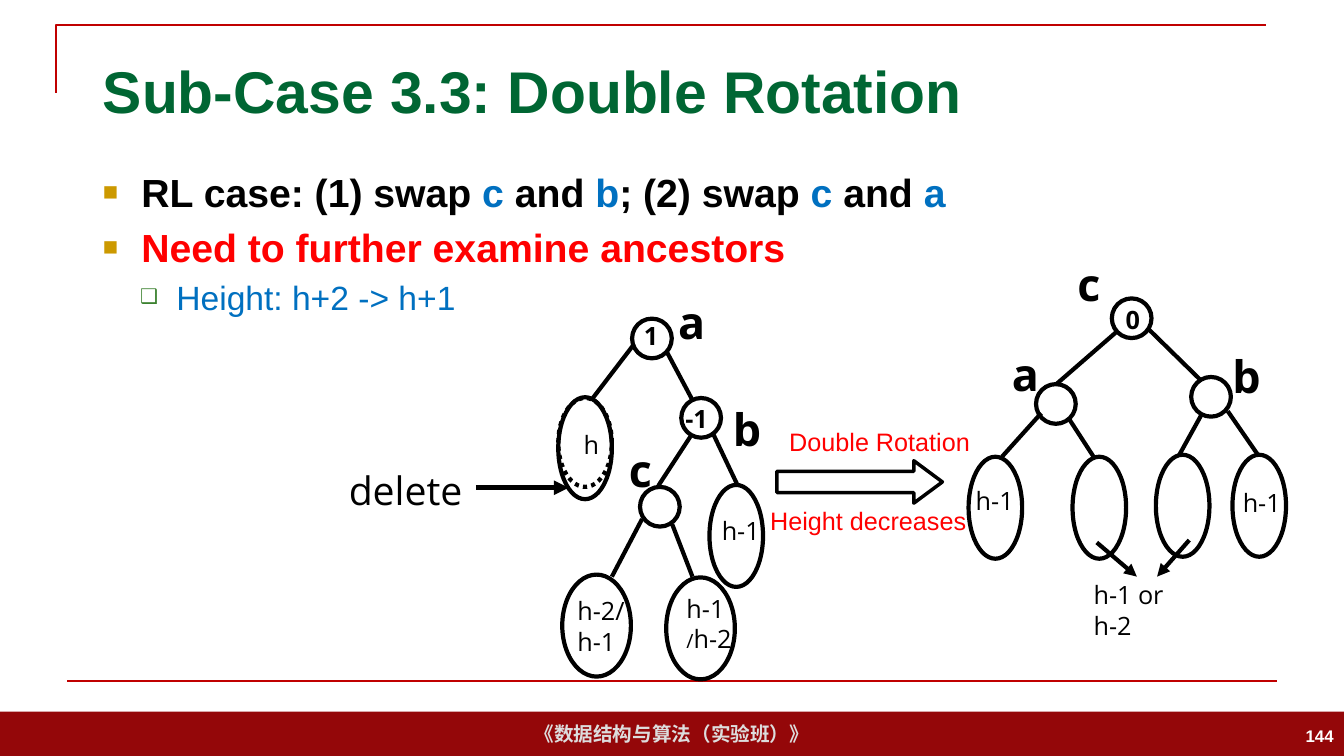
from lxml.etree import SubElement
from pptx import Presentation
from pptx.dml.color import RGBColor
from pptx.enum.dml import MSO_LINE as Dash
from pptx.enum.shapes import MSO_CONNECTOR as Conn, MSO_SHAPE as Kind
from pptx.enum.text import MSO_ANCHOR as Anchor, MSO_AUTO_SIZE as Fit, PP_ALIGN as Align
from pptx.oxml.ns import qn
from pptx.util import Cm, Pt

BLACK = RGBColor(0x00, 0x00, 0x00)
WHITE = RGBColor(0xFF, 0xFF, 0xFF)
RED = RGBColor(0xFF, 0x00, 0x00)
BLUE = RGBColor(0x00, 0x70, 0xC0)
GREEN = RGBColor(0x00, 0x66, 0x33)
RULE = RGBColor(0xC0, 0x00, 0x00)
BAND = RGBColor(0x94, 0x07, 0x09)
PALE = RGBColor(0xDD, 0xDD, 0xDD)

# Content; all lengths in cm
TITLE = "Sub-Case 3.3: Double Rotation"
FOOTER = "《数据结构与算法（实验班）》"
PAGE = "144"

# Bullets: level, runs of (text, colour)
POINTS = [
    (0, [("RL case: (1) swap ", BLACK), ("c", BLUE), (" and ", BLACK), ("b", BLUE),
         ("; (2) swap ", BLACK), ("c ", BLUE), ("and ", BLACK), ("a", BLUE)]),
    (0, [("Need to further examine ancestors", RED)]),
    (1, [("Height: h+2 -> h+1", BLUE)]),
]
# Per level: sign, its colour, its size in %, margin, hang, text size, bold
LEVELS = [
    ("■", "CC9900", 65, 0.97, 0.97, 28, True),
    ("❑", "3B812F", 60, 1.85, 0.91, 24, False),
]

# Tree nodes (left, top): before, then after the rotation
NODE = 1.0
NODES = [(15.93, 8.03), (17.17, 10.03), (16.13, 12.27),
         (28.02, 7.52), (26.11, 9.68), (30.02, 9.5)]

# Subtrees (left, top, width)
TALL, SLIM, WIDE = 2.57, 1.35, 1.73
SUBTREES = [
    (14.07, 10.01, SLIM), (17.88, 12.22, SLIM), (14.17, 14.48, WIDE), (16.79, 14.55, WIDE),
    (24.41, 11.51, SLIM), (27.03, 11.51, SLIM), (29.13, 11.46, SLIM), (31.06, 11.46, SLIM),
]
DOTTED = (14.07, 10.03, SLIM, 2.24)

EDGES = [
    (15.95, 8.71, 14.94, 10.03), (16.79, 8.84, 17.45, 10.08),
    (17.4, 11.0, 16.59, 12.24), (17.98, 10.95, 18.57, 12.19),
    (16.18, 13.08, 15.42, 14.53), (16.94, 13.21, 17.45, 14.53),
    (28.14, 8.36, 26.62, 9.68), (28.91, 8.26, 30.28, 9.6),
    (26.24, 10.41, 25.25, 11.51), (26.95, 10.57, 27.56, 11.51),
    (30.3, 10.41, 29.72, 11.46), (30.94, 10.36, 31.7, 11.46),
]
# Arrows (ends, line width)
ARROWS = [
    ((27.64, 13.67, 28.65, 14.53), 3),
    ((29.97, 13.61, 29.16, 14.53), 3),
    ((11.99, 12.29, 14.33, 12.29), 3.5),
]
SWAP = (19.58, 11.61, 4.17, 1.07)

# Labels (text, left, top, width, height), by style
NAMES = [
    ("a", 17.09, 7.42), ("b", 18.47, 10.13), ("c", 15.85, 11.15),
    ("a", 25.5, 8.74), ("b", 31.06, 8.79), ("c", 27.15, 6.48),
]
BALANCE = [("1", 16.23, 8.08), ("-1", 17.27, 10.16), ("0", 28.37, 7.67)]
HEIGHTS = [
    ("h", 14.71, 10.82), ("h-1", 18.19, 12.98), ("h-2/\nh-1", 14.55, 15.01),
    ("h-1", 24.59, 12.22), ("h-1", 31.32, 12.29), ("h-1 or h-2", 27.56, 14.61),
    ([[("h-1", {})], [("/", {"size": 14}), ("h-2", {})]], 17.3, 14.94),
]
NOTES = [("Double Rotation", 19.89, 10.74), ("Height decreases", 19.41, 12.73)]


def write(frame, text, font="Open Sans", size=18, color=BLACK, bold=False, align=Align.LEFT):
    """Fill a frame with a string, or with paragraphs of (text, format) runs."""
    if isinstance(text, str):
        text = [[(row, {})] for row in text.split("\n")]
    for i, runs in enumerate(text):
        para = frame.add_paragraph() if i else frame.paragraphs[0]
        para.alignment = align
        for words, own in runs:
            run = para.add_run()
            run.text = words
            run.font.name = font
            run.font.size = Pt(own.get("size", size))
            run.font.bold = own.get("bold", bold)
            run.font.color.rgb = own.get("color", color)


def place(item, box):
    item.left, item.top, item.width, item.height = map(Cm, box)


def label(text, left, top, wide=2.0, high=0.9, **form):
    frame = shapes.add_textbox(Cm(left), Cm(top), Cm(wide), Cm(high)).text_frame
    frame.margin_left = frame.margin_right = frame.margin_top = frame.margin_bottom = 0
    frame.word_wrap = False
    write(frame, text, **form)
    return frame


def outline(kind, box, width=3):
    shape = shapes.add_shape(kind, *map(Cm, box))
    shape.shadow.inherit = False
    shape.fill.background()
    shape.line.color.rgb = BLACK
    shape.line.width = Pt(width)
    return shape


def link(ends, width=3, color=BLACK, head=False):
    line = shapes.add_connector(Conn.STRAIGHT, *map(Cm, ends))
    line.line.color.rgb = color
    line.line.width = Pt(width)
    if head:
        SubElement(line.line._get_or_add_ln(), qn("a:tailEnd"), type="triangle")
    SubElement(line._element.spPr, qn("a:effectLst"))


def bullet(para, sign, color, scale, margin, hang):
    props = para._p.get_or_add_pPr()
    props.set("marL", str(Cm(margin)))
    props.set("indent", str(-Cm(hang)))
    tint = SubElement(props, qn("a:buClr"))
    SubElement(tint, qn("a:srgbClr"), val=color)
    SubElement(props, qn("a:buSzPct"), val=str(scale * 1000))
    SubElement(props, qn("a:buFont"), typeface="Arial")
    SubElement(props, qn("a:buChar"), char=sign)


deck = Presentation()
deck.slide_width, deck.slide_height = Cm(33.87), Cm(19.05)
slide = deck.slides.add_slide(deck.slide_layouts[1])
shapes = slide.shapes

# Frame lines and footer band
band = outline(Kind.RECTANGLE, (0, 17.93, 33.87, 1.12))
band.fill.solid()
band.fill.fore_color.rgb = BAND
band.line.fill.background()
band.text_frame.vertical_anchor = Anchor.MIDDLE
write(band.text_frame, FOOTER, font="Arial", size=14, color=PALE, bold=True, align=Align.CENTER)

pen = shapes.build_freeform(Cm(1.42), Cm(2.34))
pen.add_line_segments([(Cm(1.42), Cm(0.64)), (Cm(31.9), Cm(0.64))], close=False)
corner = pen.convert_to_shape()
corner.shadow.inherit = False
corner.fill.background()
corner.line.color.rgb = RULE
corner.line.width = Pt(1.5)
link((1.7, 17.15, 32.18, 17.15), 1.5, RULE)

page = label(PAGE, 26.24, 18.03, 7.37, 1.02, font="Arial", size=12, color=WHITE,
             bold=True, align=Align.RIGHT)
page.word_wrap = True
page.vertical_anchor = Anchor.MIDDLE

# Title and bullets
head, body = shapes.title, slide.placeholders[1]
place(head, (2.34, 1.02, 29.21, 2.51))
head.text_frame.vertical_anchor = Anchor.MIDDLE
write(head.text_frame, TITLE, font="Arial", size=42, color=GREEN, bold=True)
place(body, (2.34, 4.11, 29.21, 13.08))
for item in (head, body):
    item.text_frame.auto_size = Fit.NONE

rows = []
for level, runs in POINTS:
    size, bold = LEVELS[level][5:]
    rows.append([(words, {"color": color, "size": size, "bold": bold}) for words, color in runs])
write(body.text_frame, rows, font="Arial")
for i, (para, (level, _)) in enumerate(zip(body.text_frame.paragraphs, POINTS)):
    para.level = level
    para.space_before = Pt(LEVELS[level][5] * 0.2 if i else 0)
    bullet(para, *LEVELS[level][:5])

# Trees
for ends in EDGES:
    link(ends)
outline(Kind.OVAL, DOTTED).line.dash_style = Dash.ROUND_DOT
for left, top in NODES:
    outline(Kind.OVAL, (left, top, NODE, NODE))
for left, top, wide in SUBTREES:
    outline(Kind.OVAL, (left, top, wide, TALL))

# Arrows
for ends, width in ARROWS:
    link(ends, width, head=True)
swap = outline(Kind.RIGHT_ARROW, SWAP, 2.5)
swap.adjustments[0], swap.adjustments[1] = 0.5, 0.673

# Labels
for spot in NAMES:
    label(*spot, size=32, bold=True)
for spot in BALANCE:
    label(*spot, bold=True)
for spot in HEIGHTS:
    label(*spot)
for spot in NOTES:
    label(*spot, wide=6.63, font="Arial", color=RED)
label("delete", 8.79, 11.76, 4.39, 1.37, size=28)

deck.save("out.pptx")
